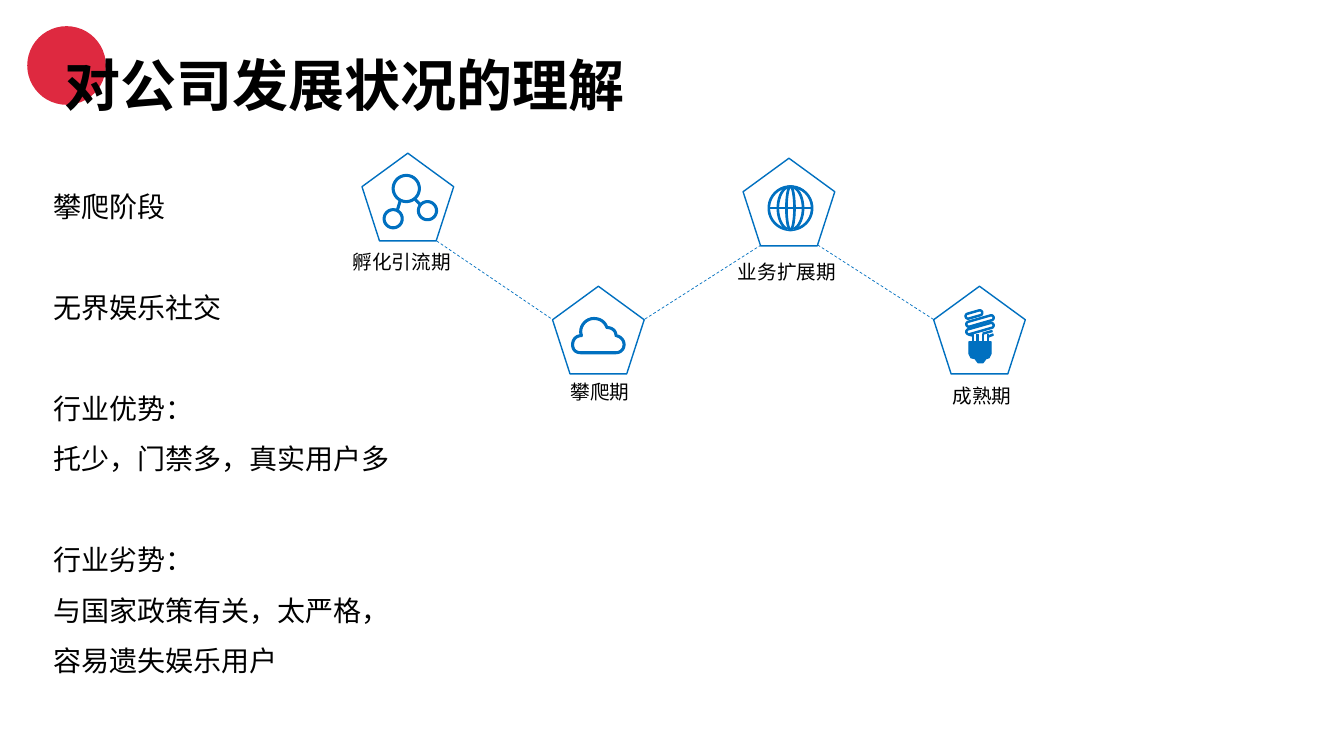
import math

import lxml.etree
import pptx
import pptx.dml.color
import pptx.enum.dml
import pptx.enum.shapes
import pptx.enum.text
import pptx.oxml.ns
import pptx.util

Pt = pptx.util.Pt
KIND = pptx.enum.shapes.MSO_SHAPE
TEXT = pptx.enum.text
tag = pptx.oxml.ns.qn
hues = {"red": "DE2940", "blue": "0070C0", "ink": "000000"}
tint = {name: pptx.dml.color.RGBColor.from_string(code) for name, code in hues.items()}

deck = pptx.Presentation()
deck.slide_width = pptx.util.Inches(13.33)
deck.slide_height = pptx.util.Inches(7.5)
col = deck.slide_width / 133.3
row = deck.slide_height / 75
slide = deck.slides.add_slide(deck.slide_layouts[1])
shapes = slide.shapes


def write(para, words, face, size, bold=False):
    run = para.add_run()
    run.text = words
    run.font.name, run.font.size, run.font.bold = face, Pt(size), bold
    run.font.color.rgb = tint["ink"]


def oval(x, y, wide, high, reach=0, turn=0):
    spots = []
    for k in range(36):
        a = math.radians(10 * k + 5)
        u = wide * math.cos(a) + math.copysign(reach, math.cos(a))
        v = high * math.sin(a)
        c, s = math.cos(math.radians(turn)), math.sin(math.radians(turn))
        spots.append((x + u * c - v * s, y + u * s + v * c))
    return spots


title, body = shapes.title, slide.placeholders[1]
dot = shapes.add_shape(KIND.OVAL, int(2.7 * col), int(2.6 * row), int(7.8 * col), int(7.8 * row))
dot.shadow.inherit = False
dot.fill.solid()
dot.fill.fore_color.rgb = tint["red"]
dot.line.fill.background()
title.element.addprevious(dot.element)

for box, x, y, wide, high in [(title, 5.4, 4.5, 58.5, 7.7), (body, 4.3, 16.6, 38.1, 56)]:
    box.left, box.top = int(x * col), int(y * row)
    box.width, box.height = int(wide * col), int(high * row)
    frame = box.text_frame
    frame.word_wrap = True
    frame.auto_size = TEXT.MSO_AUTO_SIZE.NONE
    frame.vertical_anchor = TEXT.MSO_ANCHOR.TOP

para = title.text_frame.paragraphs[0]
para.alignment = TEXT.PP_ALIGN.LEFT
write(para, "对公司发展状况的理解", "Calibri", 40, True)

points = [
    ("攀爬阶段", 0),
    ("无界娱乐社交", 36.2),
    ("行业优势：", 36.2),
    ("托少，门禁多，真实用户多", 0),
    ("行业劣势：", 36.2),
    ("与国家政策有关，太严格，容易遗失娱乐用户", 0),
]
for i, (words, gap) in enumerate(points):
    frame = body.text_frame
    para = frame.add_paragraph() if i else frame.paragraphs[0]
    para.line_spacing = 1.5
    para.space_before = Pt(gap)
    props = para._p.get_or_add_pPr()
    props.set("marL", "0")
    props.set("indent", "0")
    lxml.etree.SubElement(props, tag("a:buNone"))
    write(para, words, "Calibri", 20)

curves = [
    (61.55, 35, 61.9, 34.65, 61.9, 34.2),
    (61.9, 33.75, 61.6, 33.4, 61.1, 33.3),
    (61.1, 32.8, 60.7, 32.5, 60.2, 32.5),
    (60, 31.9, 59.5, 31.6, 58.9, 31.6),
    (58.2, 31.6, 57.6, 32.2, 57.6, 32.9),
    (57.6, 33.1, 57.65, 33.2, 57.7, 33.3),
    (57.1, 33.3, 56.8, 33.7, 56.8, 34.2),
    (56.8, 34.7, 57.1, 35, 57.6, 35),
]
x, y = 61.1, 35
cloud = [(x, y)]
for a, b, c, d, e, f in curves:
    for t in (k / 8 for k in range(1, 9)):
        s = 1 - t
        cloud.append((
            s**3 * x + 3 * s * s * t * a + 3 * s * t * t * c + t**3 * e,
            s**3 * y + 3 * s * s * t * b + 3 * s * t * t * d + t**3 * f))
    x, y = e, f

nodes = [oval(x, y, r, r) for x, y, r in [(40.3, 18.7, 1.3), (39, 21.7, 0.9), (42.4, 20.9, 0.9)]]
globe = [oval(78.4, 20.65, half, 2.15) for half in (2.15, 1.25, 0.4)]
coils = [oval(x, y, 0.25, 0.25, reach, -16)
         for x, y, reach in [(96.6, 31.2, 0.6), (97.2, 31.85, 1.15), (97.2, 32.6, 1.15)]]
base = [(96.1, 33.9), (98.3, 33.9), (98.3, 35.1), (98.1, 35.5), (97.8, 35.6),
        (97.5, 36), (97, 36), (96.7, 35.6), (96.3, 35.5), (96.1, 35.1)]
legs = [(x, 33.2, x, 33.9) for x in (96.5, 96.95, 97.5, 98)]
legs += [(96.1, 33.2, 96.5, 33.3), (97.5, 33.1, 98.4, 32.85), (98, 33.4, 98.5, 33.2)]

stages = [
    ("孵化引流期", 15.2, 34, 24.3, 24.4, nodes,
     [(39.7, 19.9, 39.4, 20.9), (41.2, 19.8, 41.7, 20.3)], [], 0.1),
    ("攀爬期", 28.4, 55.6, 37.2, 23.2, [cloud], [], [], 0.1),
    ("业务扩展期", 15.7, 72.2, 25.3, 21.3, globe, [(76.3, 20.65, 80.5, 20.65)], [], 0.08),
    ("成熟期", 28.4, 93.5, 37.6, 23.2, coils, legs, [base], 0.07),
]
for i, (words, y, left, top, wide, rings, bars, solids, half) in enumerate(stages):
    frame = shapes.add_shape(
        KIND.REGULAR_PENTAGON,
        int((35.9 + 18.9 * i) * col), int(y * row), int(9.1 * col), int(8.7 * row))
    frame.shadow.inherit = False
    frame.fill.background()
    frame.line.color.rgb = tint["blue"]
    frame.line.width = Pt(1)

    loops = list(solids)
    for ring in rings:
        for side in (half, -half):
            loop = []
            for k, (px, py) in enumerate(ring):
                ax, ay = ring[k - 1]
                bx, by = ring[(k + 1) % len(ring)]
                span = math.hypot(bx - ax, by - ay)
                loop.append((px + side * (by - ay) / span, py - side * (bx - ax) / span))
            loops.append(loop)
    for ax, ay, bx, by in bars:
        span = math.hypot(bx - ax, by - ay)
        u, v = half * (by - ay) / span, half * (bx - ax) / span
        loops.append([(ax + u, ay - v), (bx + u, by - v), (bx - u, by + v), (ax - u, ay + v)])

    build = None
    for loop in loops:
        edge = [(px * col, py * row) for px, py in loop]
        if build is None:
            build = shapes.build_freeform(*edge[0])
        else:
            build.move_to(*edge[0])
        build.add_line_segments(edge[1:], close=True)
    icon = build.convert_to_shape()
    icon.shadow.inherit = False
    icon.fill.solid()
    icon.fill.fore_color.rgb = tint["blue"]
    icon.line.color.rgb = tint["blue"]
    icon.line.width = Pt(0.75)

    label = shapes.add_textbox(int(left * col), int(top * row), int(wide * col), int(3.4 * row))
    label.text_frame.word_wrap = True
    write(label.text_frame.paragraphs[0], words, "Noto Sans CJK SC", 14)

for ax, ay, bx, by in [(43.3, 23.9, 54.8, 31.7), (75.5, 24.3, 63.9, 31.7), (92.6, 31.7, 81.1, 24.3)]:
    link = shapes.add_connector(
        pptx.enum.shapes.MSO_CONNECTOR.STRAIGHT,
        int(ax * col), int(ay * row), int(bx * col), int(by * row))
    link.line.color.rgb = tint["blue"]
    link.line.width = Pt(0.5)
    link.line.dash_style = pptx.enum.dml.MSO_LINE.DASH
    lxml.etree.SubElement(link.element.spPr, tag("a:effectLst"))

deck.save("out.pptx")
